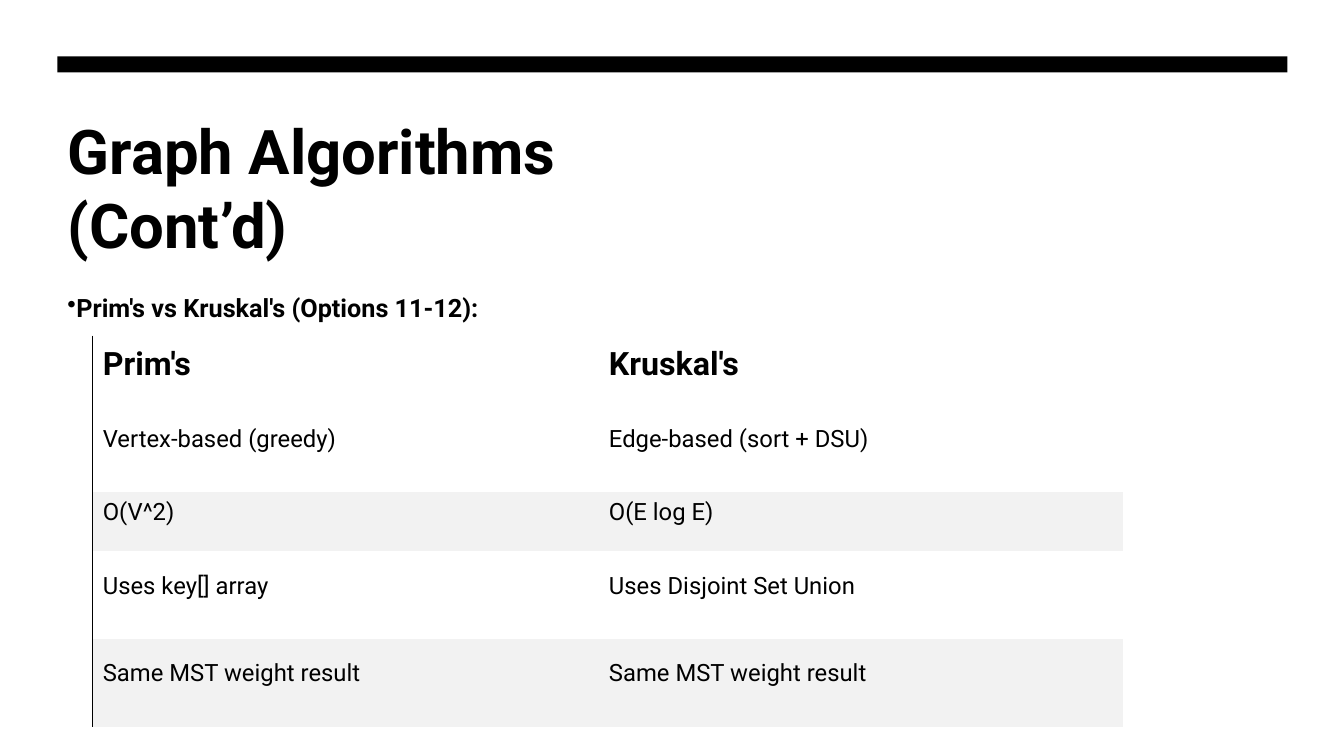
from lxml import etree
from pptx import Presentation, util as u
from pptx.dml.color import RGBColor
from pptx.enum import shapes, text
from pptx.oxml.ns import qn

BLACK, WHITE, BAND = "000000", "FFFFFF", "F2F2F2"
NO_GRID = "{2D5ABB26-0587-4C30-8999-92F81FD0307C}"
ROWS = [
    ("Prim's", "Kruskal's"),
    ("Vertex-based (greedy)", "Edge-based (sort + DSU)"),
    ("O(V^2)", "O(E log E)"),
    ("Uses key[] array", "Uses Disjoint Set Union"),
    ("Same MST weight result", "Same MST weight result"),
]


def rgb(value):
    return RGBColor.from_string(value)


class Deck:
    """Holds the style and the current slide, and draws each kind of element."""

    def __init__(self, prs, font="Roboto", color=BLACK):
        self.font, self.color = font, color
        self.slide = prs.slides.add_slide(prs.slide_layouts[5])
        fill = self.slide.background.fill
        fill.solid()
        fill.fore_color.rgb = rgb(WHITE)

    def set_text(self, tf, content, size, bold=True):
        p = tf.paragraphs[0]
        p.text = content
        p.alignment = text.PP_ALIGN.LEFT
        p.font.name, p.font.size, p.font.bold = self.font, u.Pt(size), bold
        p.font.color.rgb = rgb(self.color)
        return p

    def title(self, content, box, size):
        sp = self.slide.shapes.title
        sp.left, sp.top, sp.width, sp.height = map(u.Inches, box)
        tf = sp.text_frame
        tf.word_wrap, tf.auto_size = True, text.MSO_AUTO_SIZE.NONE
        tf.vertical_anchor = text.MSO_ANCHOR.TOP
        self.set_text(tf, content, size)

    def bar(self, box):
        sp = self.slide.shapes.add_shape(shapes.MSO_SHAPE.RECTANGLE, *map(u.Inches, box))
        sp.shadow.inherit = False
        sp.fill.solid()
        sp.fill.fore_color.rgb = rgb(self.color)
        sp.line.fill.background()

    def bullet(self, content, box, size):
        tf = self.slide.shapes.add_textbox(*map(u.Inches, box)).text_frame
        tf.word_wrap = True
        p = self.set_text(tf, content, size)
        p.line_spacing, p.space_after = 1.1, u.Pt(6)
        pPr = p._p.get_or_add_pPr()
        pPr.set("marL", "0")
        pPr.set("indent", str(-u.Inches(0.25)))
        bu = etree.Element(qn("a:buChar"), char="•")
        pPr.insert_element_before(bu, "a:tabLst", "a:defRPr", "a:extLst")

    def table(self, rows, left, top, widths, heights):
        box = map(u.Inches, (left, top, sum(widths), sum(heights)))
        table = self.slide.shapes.add_table(len(rows), len(widths), *box).table
        table.first_row = table.horz_banding = False
        table._tbl.tblPr.find(qn("a:tableStyleId")).text = NO_GRID
        for column, width in zip(table.columns, widths):
            column.width = u.Inches(width)
        for i, (row, height) in enumerate(zip(rows, heights)):
            table.rows[i].height = u.Inches(height)
            for j, content in enumerate(row):
                self.cell(table.cell(i, j), content, i == 0, i > 0 and i % 2 == 0)
            self.left_border(table.cell(i, 0))

    def cell(self, cell, content, header, banded):
        cell.margin_left, cell.margin_top = u.Inches(0.1), u.Inches(0.03)
        cell.margin_right = u.Inches(0.27 if header else 0.12)
        cell.margin_bottom = u.Inches(0.21)
        cell.vertical_anchor = text.MSO_ANCHOR.BOTTOM if header else text.MSO_ANCHOR.MIDDLE
        if banded:
            cell.fill.solid()
            cell.fill.fore_color.rgb = rgb(BAND)
        else:
            cell.fill.background()
        self.set_text(cell.text_frame, content, 23 if header else 17, header)

    def left_border(self, cell):
        ln = etree.Element(qn("a:lnL"), w=str(u.Pt(0.75)))
        fill = etree.SubElement(ln, qn("a:solidFill"))
        etree.SubElement(fill, qn("a:srgbClr"), val=self.color)
        cell._tc.get_or_add_tcPr().insert(0, ln)


def main():
    prs = Presentation()
    prs.slide_width, prs.slide_height = u.Inches(13.33), u.Inches(7.5)
    deck = Deck(prs)
    deck.title("Graph Algorithms (Cont’d)", (0.57, 1.07, 6.85, 1.6), 44)
    deck.bar((0.57, 0.56, 12.2, 0.16))
    deck.bullet("Prim's vs Kruskal's (Options 11-12):", (0.57, 2.82, 6.85, 4.12), 18)
    deck.table(ROWS, 0.92, 3.33, (5.02, 5.2), (0.68, 0.87, 0.59, 0.87, 0.87))
    prs.save("out.pptx")


if __name__ == "__main__":
    main()
